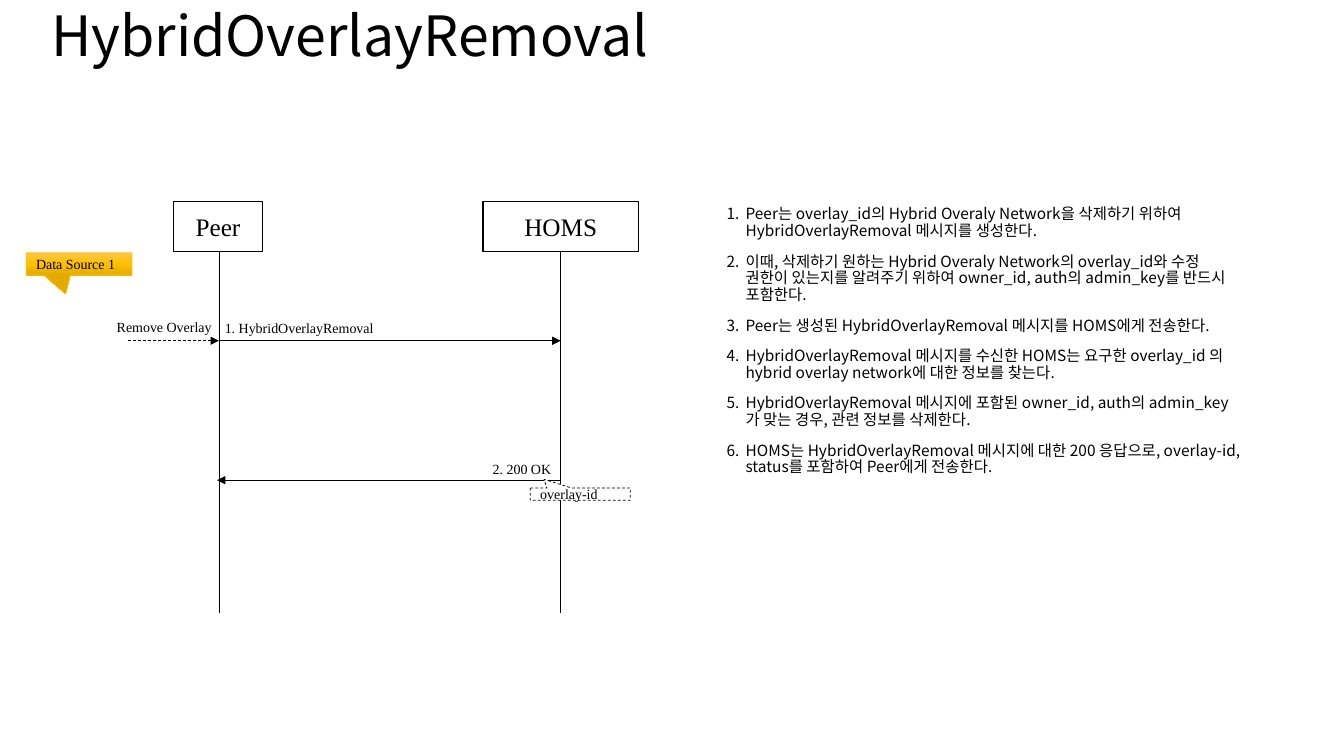
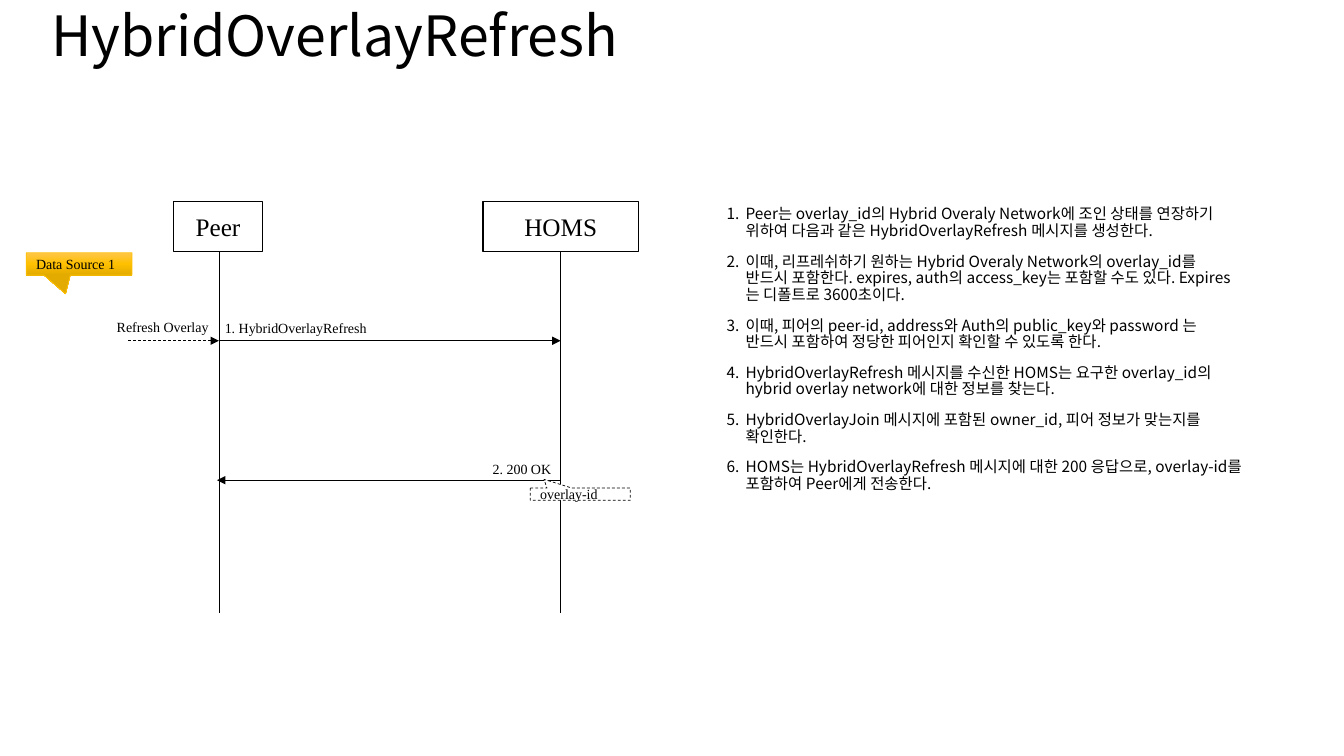
from copy import deepcopy

from lxml import etree
from pptx import Presentation
from pptx.dml.color import RGBColor
from pptx.enum.dml import MSO_LINE
from pptx.enum.shapes import MSO_CONNECTOR, MSO_SHAPE
from pptx.enum.text import MSO_ANCHOR, PP_ALIGN
from pptx.oxml.ns import qn
from pptx.util import Pt

RECT, CALLOUT = MSO_SHAPE.RECTANGLE, MSO_SHAPE.RECTANGULAR_CALLOUT
STRAIGHT, DASH = MSO_CONNECTOR.STRAIGHT, MSO_LINE.DASH
TOP, MIDDLE = MSO_ANCHOR.TOP, MSO_ANCHOR.MIDDLE
LEFT, CENTER = PP_ALIGN.LEFT, PP_ALIGN.CENTER


def color(value):
    """Turn a hex string into a colour."""
    return RGBColor.from_string(value)


class Deck:
    """Holds the style and the current slide."""

    BLACK, WHITE, GOLD = "000000", "FFFFFF", "FFC000"
    GOLD_STOPS = ((0, "FFC64B"), (0.5, GOLD), (1, "E3AB00"))
    SANS, SERIF = "Noto Sans CJK KR", "Times New Roman"

    def __init__(self, prs):
        """Set the slide size."""
        self.prs, self.s = prs, None
        prs.slide_width, prs.slide_height = Pt(960), Pt(540)

    def new_slide(self, title):
        """Start a slide with its title."""
        self.s = self.prs.slides.add_slide(self.prs.slide_layouts[6])
        tf = self.text_box(29.5, 1.4, 898, 52, MIDDLE)
        p = self.add_text(tf.paragraphs[0], title, 39.6, self.SANS)
        p.line_spacing = 0.9

    def add_text(self, p, text, size, font, align=LEFT):
        """Add one styled run to a paragraph."""
        p.alignment = align
        r = p.add_run()
        r.text = text
        r.font.size, r.font.name = Pt(size), font
        r.font.color.rgb = color(self.BLACK)
        ea = etree.SubElement(r.font._element, qn("a:ea"))
        ea.set("typeface", font)
        return p

    def text_box(self, x, y, w, h, anchor=TOP):
        """Add a wrapping text box and return its text frame."""
        tf = self.s.shapes.add_textbox(Pt(x), Pt(y), Pt(w), Pt(h)).text_frame
        tf.word_wrap, tf.vertical_anchor = True, anchor
        return tf

    def label(self, x, y, w, text):
        """Add a message label."""
        tf = self.text_box(x, y, w, 19.4)
        self.add_text(tf.paragraphs[0], text, 10, self.SERIF)

    def steps(self, x, y, w, h, texts):
        """Add a numbered list."""
        tf = self.text_box(x, y, w, h)
        for i, text in enumerate(texts):
            p = tf.add_paragraph() if i else tf.paragraphs[0]
            self.add_text(p, text, 11, self.SANS)
            p.line_spacing, p.space_before = 0.9, Pt(10)
            pPr = p._p.get_or_add_pPr()
            pPr.set("marL", str(Pt(13.5)))
            pPr.set("indent", str(Pt(-13.5)))
            etree.SubElement(pPr, qn("a:buAutoNum")).set("type", "arabicPeriod")

    def shape(self, kind, x, y, w, h, text, size, align, line, weight):
        """Add an unfilled outlined shape with text."""
        sp = self.s.shapes.add_shape(kind, Pt(x), Pt(y), Pt(w), Pt(h))
        sp.shadow.inherit = False
        sp.fill.background()
        sp.line.color.rgb, sp.line.width = color(line), Pt(weight)
        tf = sp.text_frame
        tf.word_wrap, tf.vertical_anchor = True, MIDDLE
        self.add_text(tf.paragraphs[0], text, size, self.SERIF, align)
        return sp

    def party(self, x, y, w, h, name):
        """Add the box that heads a lifeline."""
        self.shape(RECT, x, y, w, h, name, 18, CENTER, self.BLACK, 1)

    def callout(self, x, y, w, h, text, tip, line):
        """Add a callout whose tip is given as shares of its size."""
        sp = self.shape(CALLOUT, x, y, w, h, text, 10, LEFT, line, 0.5)
        sp.adjustments[0], sp.adjustments[1] = tip
        return sp

    def source_callout(self, x, y, w, h, text, tip):
        """Add a gold gradient callout."""
        sp = self.callout(x, y, w, h, text, tip, self.GOLD)
        sp.fill.gradient()
        sp.fill.gradient_angle = 270
        stops = sp._element.spPr.find(qn("a:gradFill")).find(qn("a:gsLst"))
        stops.insert(1, deepcopy(stops[0]))
        for stop, (position, value) in zip(sp.fill.gradient_stops, self.GOLD_STOPS):
            stop.position, stop.color.rgb = position, color(value)

    def field_callout(self, x, y, w, h, text, tip):
        """Add a white dashed callout."""
        sp = self.callout(x, y, w, h, text, tip, self.BLACK)
        sp.fill.solid()
        sp.fill.fore_color.rgb = color(self.WHITE)
        sp.line.dash_style = DASH

    def line(self, x1, y1, x2, y2, arrow=False, dashed=False):
        """Add a thin line, with an arrowhead at its end if asked."""
        cx = self.s.shapes.add_connector(STRAIGHT, Pt(x1), Pt(y1), Pt(x2), Pt(y2))
        cx.line.color.rgb, cx.line.width = color(self.BLACK), Pt(0.5)
        if dashed:
            cx.line.dash_style = DASH
        if arrow:
            ln = cx.line._get_or_add_ln()
            etree.SubElement(ln, qn("a:tailEnd")).set("type", "triangle")
        etree.SubElement(cx._element.spPr, qn("a:effectLst"))

    def sequence(self, trigger, request):
        """Draw the exchange between Peer and HOMS."""
        peer, homs = 156.4, 400.4
        top, head, bottom = 144, 35.5, 438
        ask, reply = 243.4, 343
        self.party(345, top, 111, head, "HOMS")
        self.party(124, top, 63.5, head, "Peer")
        for x in (peer, homs):
            self.line(x, top + head, x, bottom)
        self.line(peer, ask, homs, ask, arrow=True)
        self.line(homs, reply, peer - 1.4, reply, arrow=True)
        self.line(91.5, ask, peer, ask, arrow=True, dashed=True)
        self.label(76.3, 224, 96.5, trigger)
        self.source_callout(18.7, 180.5, 75.6, 16, "Data Source 1", (-0.128, 1.342))
        self.label(153.5, 224.6, 127, "1. " + request)
        self.label(344.8, 325.4, 60, "2. 200 OK")
        self.field_callout(378.8, 348.6, 71.4, 8.7, "overlay-id", (-0.362, -1.216))


SLIDES = (
    ("HybridOverlayRemoval", "Remove Overlay", (
        "Peer는 overlay_id의 Hybrid Overaly Network을 삭제하기 위하여 "
        "HybridOverlayRemoval 메시지를 생성한다.",
        "이때, 삭제하기 원하는 Hybrid Overaly Network의 overlay_id와 수정 "
        "권한이 있는지를 알려주기 위하여 owner_id, auth의 admin_key를 "
        "반드시 포함한다.",
        "Peer는 생성된 HybridOverlayRemoval 메시지를 HOMS에게 전송한다.",
        "HybridOverlayRemoval 메시지를 수신한 HOMS는 요구한 overlay_id "
        "의 hybrid overlay network에 대한 정보를 찾는다.",
        "HybridOverlayRemoval 메시지에 포함된 owner_id, auth의 "
        "admin_key가 맞는 경우, 관련 정보를 삭제한다.",
        "HOMS는 HybridOverlayRemoval 메시지에 대한 200 응답으로, "
        "overlay-id, status를 포함하여 Peer에게 전송한다.",
    )),
    ("HybridOverlayRefresh", "Refresh Overlay", (
        "Peer는 overlay_id의 Hybrid Overaly Network에 조인 상태를 연장하기 "
        "위하여 다음과 같은 HybridOverlayRefresh 메시지를 생성한다.",
        "이때, 리프레쉬하기 원하는 Hybrid Overaly Network의 overlay_id를 "
        "반드시 포함한다. expires, auth의 access_key는 포함할 수도 있다. "
        "Expires는 디폴트로 3600초이다.",
        "이때, 피어의 peer-id, address와 Auth의 public_key와 password 는 "
        "반드시 포함하여 정당한 피어인지 확인할 수 있도록 한다.",
        "HybridOverlayRefresh 메시지를 수신한 HOMS는 요구한 overlay_id의 "
        "hybrid overlay network에 대한 정보를 찾는다.",
        "HybridOverlayJoin 메시지에 포함된 owner_id, 피어 정보가 맞는지를 "
        "확인한다.",
        "HOMS는 HybridOverlayRefresh 메시지에 대한 200 응답으로, "
        "overlay-id를 포함하여 Peer에게 전송한다.",
    )),
)

prs = Presentation()
deck = Deck(prs)
for request, trigger, texts in SLIDES:
    deck.new_slide(request)
    deck.steps(512, 144, 382.3, 342.7, texts)
    deck.sequence(trigger, request)
prs.save("out.pptx")
